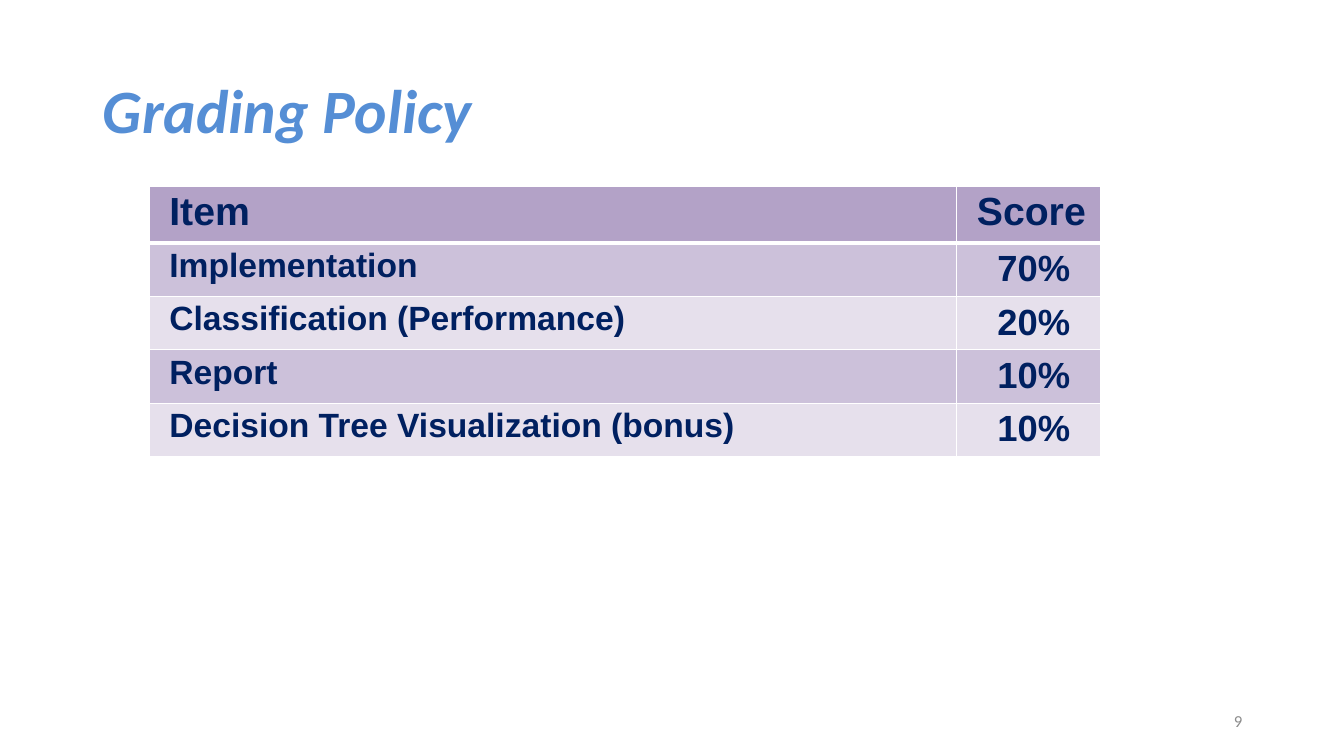
import dataclasses
import typing

import pptx
import pptx.dml.color
import pptx.enum.text
import pptx.oxml
import pptx.oxml.ns
import pptx.util

Inches = pptx.util.Inches
Pt = pptx.util.Pt
Color = pptx.dml.color.RGBColor.from_string
Align = pptx.enum.text.PP_ALIGN
Anchor = pptx.enum.text.MSO_ANCHOR


@dataclasses.dataclass(frozen=True)
class Theme:
    heading_font: str = "Calibri"
    table_font: str = "Arial"
    title: str = "558ED5"
    table_text: str = "002060"
    page_number: str = "8C8C8C"
    border: str = "FFFFFF"
    header_fill: str = "B3A2C7"
    band_fills: tuple[str, str] = ("CCC1DA", "E6E0EC")
    title_size: int = 44
    header_size: int = 28
    item_size: int = 24
    score_size: int = 26
    number_size: int = 12
    thin_line: int = 1
    thick_line: int = 3


class Grade(typing.NamedTuple):
    item: str
    score: str


class CellStyle(typing.NamedTuple):
    size: int
    align: Align = Align.LEFT
    anchor: Anchor = Anchor.TOP


THEME = Theme()
HEADINGS = Grade("Item", "Score")
GRADES = [
    Grade("Implementation", "70%"),
    Grade("Classification (Performance)", "20%"),
    Grade("Report", "10%"),
    Grade("Decision Tree Visualization (bonus)", "10%"),
]
HEADER_STYLE = CellStyle(THEME.header_size)
BODY_STYLES = (
    CellStyle(THEME.item_size),
    CellStyle(THEME.score_size, Align.CENTER, Anchor.MIDDLE),
)


def add_span(para, text: str, font: str, size: int, color: str,
             bold: bool = False, italic: bool = False) -> None:
    span = para.add_run()
    span.text = text
    span.font.name = font
    span.font.size = Pt(size)
    span.font.color.rgb = Color(color)
    span.font.bold = bold
    span.font.italic = italic


def set_borders(cell, top: int, bottom: int) -> None:
    """Put the four border lines ahead of the cell's fill."""
    properties = cell._tc.get_or_add_tcPr()
    widths = {"lnL": THEME.thin_line, "lnR": THEME.thin_line, "lnT": top, "lnB": bottom}
    for position, (side, width) in enumerate(widths.items()):
        properties.insert(position, pptx.oxml.parse_xml(
            f'<a:{side} {pptx.oxml.ns.nsdecls("a")} w="{Pt(width)}"><a:solidFill>'
            f'<a:srgbClr val="{THEME.border}"/></a:solidFill></a:{side}>'))


def fill_cell(cell, text: str, style: CellStyle, fill: str, top: int, bottom: int) -> None:
    cell.fill.solid()
    cell.fill.fore_color.rgb = Color(fill)
    set_borders(cell, top, bottom)
    cell.margin_left = cell.margin_right = Inches(0.1)
    cell.margin_top, cell.margin_bottom = Inches(0.04), Inches(0.05)
    cell.vertical_anchor = style.anchor
    para = cell.text_frame.paragraphs[0]
    para.alignment = style.align
    para._p.get_or_add_pPr().set("marL", str(Inches(0.1)))
    add_span(para, text, THEME.table_font, style.size, THEME.table_text, bold=True)


def add_title(page, text: str) -> None:
    box = page.shapes.title
    box.left, box.top = Inches(0.92), Inches(0.4)
    box.width, box.height = Inches(11.5), Inches(1.45)
    frame = box.text_frame
    frame.auto_size = pptx.enum.text.MSO_AUTO_SIZE.NONE
    frame.vertical_anchor = Anchor.MIDDLE
    para = frame.paragraphs[0]
    para.alignment = Align.LEFT
    para.line_spacing = 0.9
    add_span(para, text, THEME.heading_font, THEME.title_size, THEME.title,
             bold=True, italic=True)


def add_grade_table(page) -> None:
    rows = [HEADINGS, *GRADES]
    table = page.shapes.add_table(len(rows), len(HEADINGS), Inches(1.48), Inches(1.85),
                                  Inches(9.44), Inches(2.69)).table
    for column, width in zip(table.columns, (8.01, 1.43)):
        column.width = Inches(width)
    for index, grade in enumerate(rows):
        is_header = index == 0
        table.rows[index].height = Inches(0.56 if is_header else 0.53)
        fill = THEME.header_fill if is_header else THEME.band_fills[(index - 1) % 2]
        top = THEME.thick_line if index == 1 else THEME.thin_line
        bottom = THEME.thick_line if is_header else THEME.thin_line
        for column, text in enumerate(grade):
            style = HEADER_STYLE if is_header else BODY_STYLES[column]
            fill_cell(table.cell(index, column), text, style, fill, top, bottom)


def add_page_number(page, number: str) -> None:
    box = page.shapes.add_textbox(Inches(9.42), Inches(6.95), Inches(3), Inches(0.4))
    frame = box.text_frame
    frame.word_wrap = True
    frame.vertical_anchor = Anchor.MIDDLE
    para = frame.paragraphs[0]
    para.alignment = Align.RIGHT
    add_span(para, number, THEME.heading_font, THEME.number_size, THEME.page_number)


# Deck with one title-only page
deck = pptx.Presentation()
deck.slide_width, deck.slide_height = Inches(13.33), Inches(7.5)
page = deck.slides.add_slide(deck.slide_layouts[5])

# Page content
add_title(page, "Grading Policy")
add_grade_table(page)
add_page_number(page, "9")

deck.save("out.pptx")
